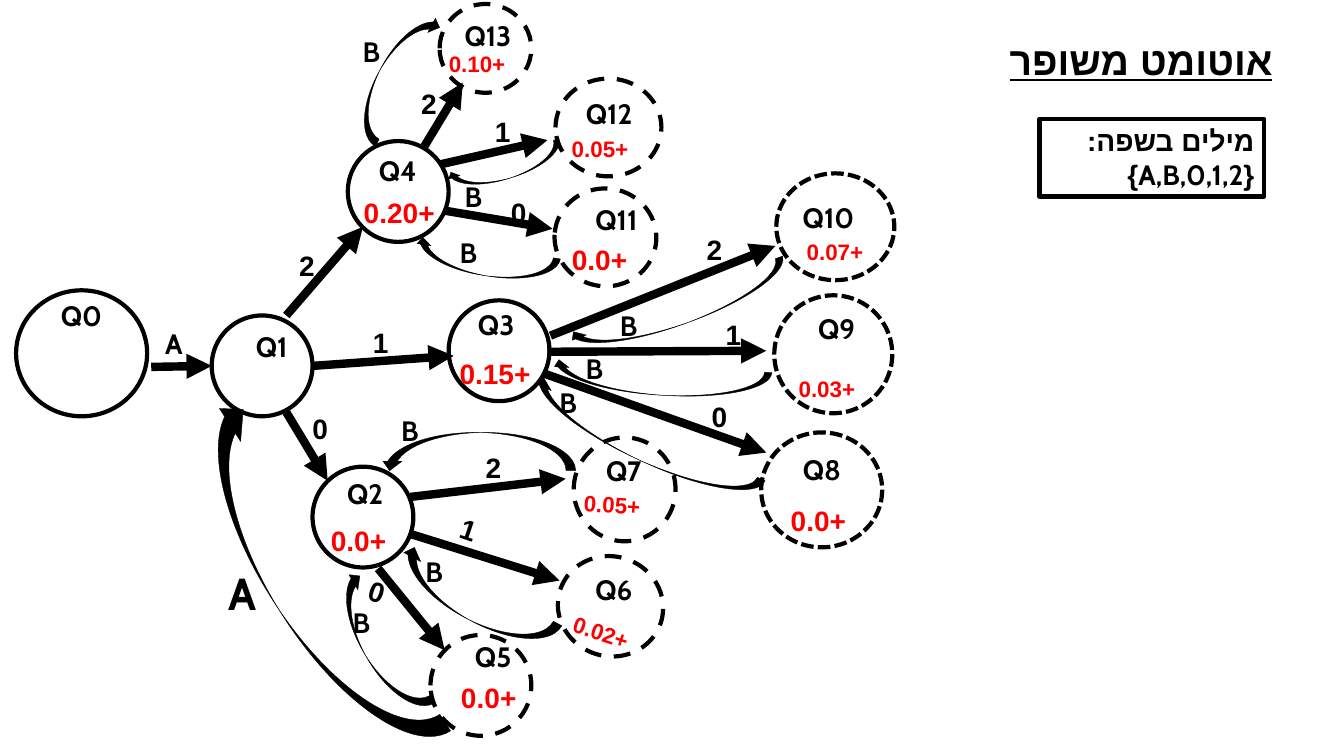
from lxml.etree import SubElement
from pptx import Presentation
from pptx.dml.color import RGBColor
from pptx.enum.dml import MSO_LINE_DASH_STYLE as Dash
from pptx.enum.lang import MSO_LANGUAGE_ID as Language
from pptx.enum.shapes import MSO_CONNECTOR as Connector, MSO_SHAPE as Shape
from pptx.enum.text import MSO_ANCHOR as Anchor, MSO_AUTO_SIZE as AutoSize, PP_ALIGN as Align
from pptx.oxml.ns import qn
from pptx.util import Emu, Pt

PX = 9144  # 100 px to the inch
BLACK, WHITE, RED = "000000", "FFFFFF", "FF0000"
DASH, DOTS = Dash.DASH, Dash.SQUARE_DOT


def color(value):
    return RGBColor.from_string(value)


def px(*lengths):
    return [Emu(length * PX) for length in lengths]


class AutomatonSlide:
    font, complex_font = "Cabin", "Arial"

    def __init__(self, presentation):
        self.slide = presentation.slides.add_slide(presentation.slide_layouts[6])

    def preset(self, kind, box, fill=None, width=3, dash=None, rotation=0):
        shape = self.slide.shapes.add_shape(kind, *px(*box))
        shape.shadow.inherit = False
        shape.rotation = rotation
        if fill:
            shape.fill.solid()
            shape.fill.fore_color.rgb = color(fill)
        else:
            shape.fill.background()
        shape.line.color.rgb = color(BLACK)
        shape.line.width = Pt(width)
        if dash:
            shape.line.dash_style = dash
        return shape

    def add_text(self, shape, lines, size=20, ink=BLACK, underline=None):
        frame = shape.text_frame
        frame.word_wrap = True
        frame.auto_size = AutoSize.SHAPE_TO_FIT_TEXT
        paragraph = frame.paragraphs[0]
        paragraph.alignment = Align.RIGHT
        paragraph._p.get_or_add_pPr().set("rtl", "1")
        for index, line in enumerate(lines):
            if index:
                paragraph.add_line_break()
            run = paragraph.add_run()
            run.text = line
            font = run.font
            font.name, font.size, font.bold = self.font, Pt(size), True
            font.underline = underline
            font.color.rgb = color(ink)
            font.language_id = Language.HEBREW
            SubElement(run._r.get_or_add_rPr(), qn("a:cs")).set("typeface", self.complex_font)

    def label(self, text, left, top, width=62, height=44, rotation=0, **style):
        shape = self.slide.shapes.add_textbox(*px(left, top, width, height))
        shape.rotation = rotation
        self.add_text(shape, [text], **style)

    def arrow(self, *ends):
        connector = self.slide.shapes.add_connector(Connector.STRAIGHT, *px(*ends))
        connector.line.color.rgb = color(BLACK)
        connector.line.width = Pt(6)
        SubElement(connector.line._get_or_add_ln(), qn("a:tailEnd")).set("type", "triangle")
        SubElement(connector._element.spPr, qn("a:effectLst"))

    def curved_arrow(self, box, rotation, flipped=False):
        shape = self.preset(Shape.CURVED_LEFT_ARROW, box, BLACK, 0.25, rotation=rotation)
        if flipped:
            shape._element.spPr.find(qn("a:xfrm")).set("flipH", "1")


# State: name, circle box, dash, circle rotation, name place (left, top, width)
STATES = [
    ("Q5", (427, 630, 100, 100), DASH, 0, (455, 630)),
    ("Q1", (210, 313, 100, 100), None, 0, (233, 322)),
    ("Q4", (345, 140, 100, 100), None, 0, (361, 147)),
    ("Q3", (445, 298, 100, 100), None, 0, (458, 300)),
    ("Q2", (310, 463, 100, 100), None, 0, (328, 468)),
    ("Q0", (16, 288, 130, 125), None, 0, (49, 291)),
    ("Q8", (755, 429, 120, 114), DOTS, 0, (782, 444)),
    ("Q7", (569, 434, 101, 103), DASH, 0, (584, 445)),
    ("Q10", (770, 172, 117, 106), DOTS, 0, (785, 194, 72)),
    ("Q9", (768, 293, 117, 117), DOTS, 0, (796, 304)),
    ("Q13", (436, 4, 91, 88), DASH, 0, (446, 13, 71)),
    ("Q12", (551, 78, 105, 97), DASH, 0, (565, 91, 72)),
    ("Q11", (550, 187, 101, 97), DASH, 5.4, (557, 196, 85)),
    ("Q6", (553, 552, 105, 99), DASH, 18.4, (575, 563)),
]

# Transition: symbol, arrow ends, symbol place, symbol rotation
TRANSITIONS = [
    ("A", (150, 364, 210, 363), (129, 319), 0),
    ("2", (284, 313, 360, 225), (260, 242), 0),
    ("1", (310, 363, 450, 353), (333, 318), 0),
    ("0", (284, 409, 325, 477), (273, 403), 0),
    ("2", (421, 145, 459, 82), (381, 81), 0),
    ("1", (437, 163, 543, 139), (454, 109), 0),
    ("0", (441, 209, 548, 227), (470, 189), 0),
    ("2", (546, 333, 769, 244), (664, 226), 0),
    ("1", (543, 349, 760, 348), (683, 310), 0),
    ("0", (538, 370, 760, 449), (669, 391), 0),
    ("2", (407, 493, 561, 475), (445, 442), 0),
    ("1", (408, 530, 555, 576), (421, 499), 18.4),
    ("0", (375, 564, 441, 645), (330, 561), 18.4),
]

# Reward: text, place (left, top, width, height), size, rotation
REWARDS = [
    ("+0.0", (293, 514, 100, 44), 20, 0),
    ("+0.15", (419, 349, 117, 44), 20, 0),
    ("+0.0", (532, 236, 100, 44), 20, 0),
    ("+0.0", (749, 495, 100, 44), 20, 0),
    ("+0.0", (422, 670, 100, 44), 20, 0),
    ("+0.20", (347, 189, 94, 44), 20, 0),
    ("+0.05", (516, 129, 117, 37), 16, 0),
    ("+0.10", (394, 45, 117, 37), 16, 0),
    ("+0.07", (749, 231, 117, 37), 16, 0),
    ("+0.03", (741, 367, 117, 37), 16, 0),
    ("+0.05", (528, 481, 117, 37), 16, 3.8),
    ("+0.02", (518, 602, 117, 37), 16, 18.4),
]

# Return on B: curved arrow box, rotation, flipped, symbol place
RETURNS = [
    ((359, 562, 35, 155), 149.7, False, (315, 596)),
    ((455, 351, 38, 194), 90, True, (363, 405)),
    ((621, 314, 34, 251), 115, False, (520, 378)),
    ((452, 509, 38, 175), 118, False, (387, 545)),
    ((659, 193, 30, 228), 70.1, False, (580, 301)),
    ((641, 268, 29, 219), 93.5, False, (546, 344)),
    ((490, 107, 23, 118), 72.7, False, (426, 173)),
    ((468, 187, 28, 145), 98.9, False, (421, 229)),
    ((376, 4, 32, 142), 208.4, False, (325, 29)),
]


def main():
    presentation = Presentation()
    presentation.slide_width, presentation.slide_height = px(1333, 750)
    automaton = AutomatonSlide(presentation)

    # States
    for name, circle, dash, rotation, place in STATES:
        automaton.preset(Shape.OVAL, circle, WHITE, dash=dash, rotation=rotation)

    # Transitions
    for symbol, ends, place, rotation in TRANSITIONS:
        automaton.arrow(*ends)
        automaton.label(symbol, *place, rotation=rotation)

    # State names and rewards
    for name, circle, dash, rotation, place in STATES:
        automaton.label(name, *place)
    for reward, place, size, rotation in REWARDS:
        automaton.label(reward, *place, rotation=rotation, size=size, ink=RED)

    # Returns on B, and the long return on A
    for box, rotation, flipped, place in RETURNS:
        automaton.curved_arrow(box, rotation, flipped)
        automaton.label("B", *place)
    automaton.curved_arrow((267, 379, 78, 399), 147.2)
    automaton.label("A", 164, 556, 100, 64, size=32)

    # Title and alphabet
    automaton.label("אוטומט משופר", 972, 31, 300, 57, size=28, underline=True)
    alphabet = automaton.preset(Shape.RECTANGLE, (1031, 118, 223, 77))
    alphabet.text_frame.vertical_anchor = Anchor.TOP
    automaton.add_text(alphabet, ["מילים בשפה:", "{A,B,0,1,2}"])

    presentation.save("out.pptx")


if __name__ == "__main__":
    main()
